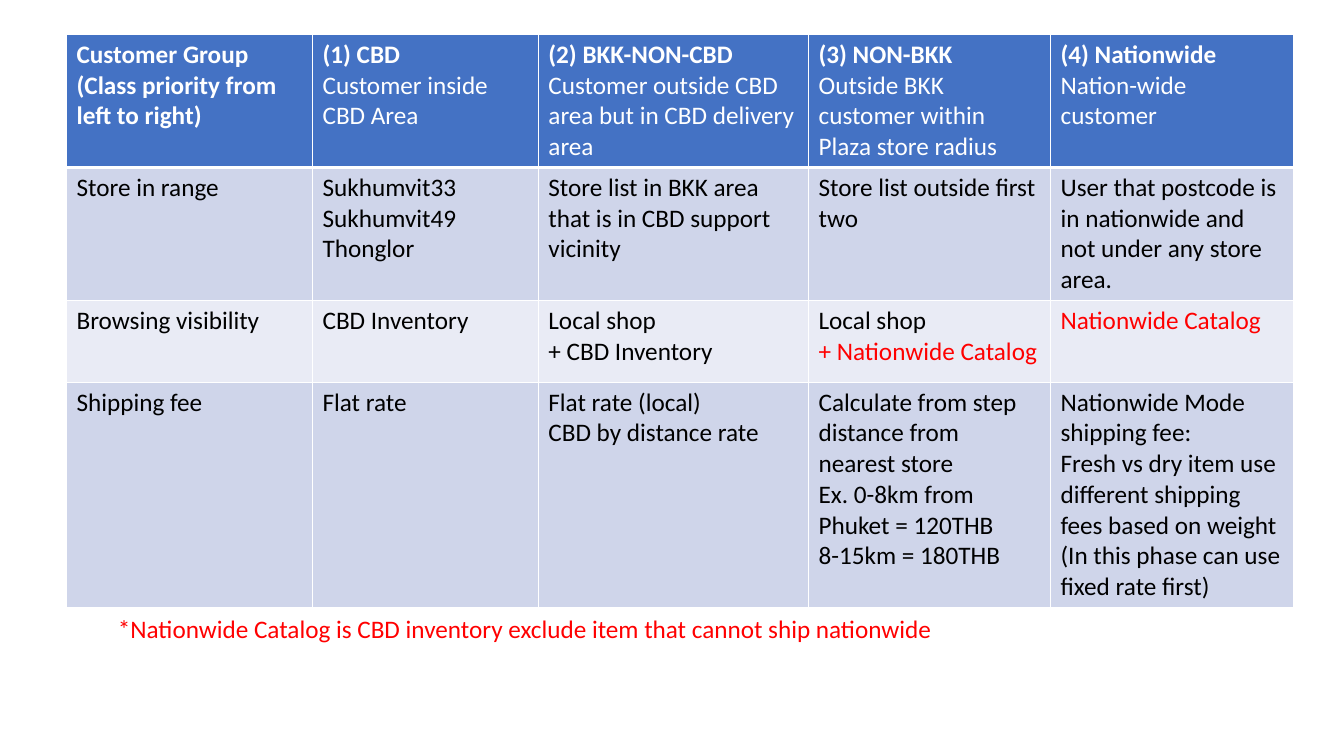
import dataclasses

import pptx
import pptx.dml.color
import pptx.enum.text
import pptx.oxml
import pptx.oxml.ns
import pptx.util


@dataclasses.dataclass(frozen=True)
class Theme:
    font: str = "Calibri"
    size: int = 18
    white: str = "FFFFFF"
    black: str = "000000"
    red: str = "FF0000"
    header: str = "4472C4"
    bands: tuple = ("CFD5EA", "E9EBF5")
    thin: int = 1
    thick: int = 3


THEME = Theme()
WIDTH, HEIGHT = pptx.util.Inches(13.33), pptx.util.Inches(7.5)
COLUMNS = (2.44, 2.24, 2.68, 2.4, 2.41)
ROWS = (1.04, 0.81, 0.81, 0.81)
TABLE_BOX = (0.0495, 0.0453, 0.913, 0.748)
NOTE_BOX = (0.0803, 0.8053, 0.6557, 0.0533)

HEADERS = (
    ("Customer Group", "(Class priority from left to right)"),
    ("(1) CBD", "Customer inside CBD Area"),
    ("(2) BKK-NON-CBD", "Customer outside CBD area but in CBD delivery area"),
    ("(3) NON-BKK", "Outside BKK customer within Plaza store radius"),
    ("(4) Nationwide", "Nation-wide customer"),
)
BODY = (
    (
        ("Store in range",),
        ("Sukhumvit33", "Sukhumvit49", "Thonglor"),
        ("Store list in BKK area that is in CBD support vicinity",),
        ("Store list outside first two",),
        ("User that postcode is in nationwide and not under any store area.",),
    ),
    (
        ("Browsing visibility",),
        ("CBD Inventory",),
        ("Local shop", "+ CBD Inventory"),
        ("Local shop", "+ Nationwide Catalog"),
        ("Nationwide Catalog",),
    ),
    (
        ("Shipping fee",),
        ("Flat rate",),
        ("Flat rate (local)", "CBD by distance rate"),
        (
            "Calculate from step distance from nearest store",
            "Ex. 0-8km from Phuket = 120THB",
            "8-15km = 180THB",
        ),
        (
            "Nationwide Mode shipping fee:",
            "Fresh vs dry item use different shipping fees based on weight "
            "(In this phase can use fixed rate first)",
        ),
    ),
)
NOTE = "*Nationwide Catalog is CBD inventory exclude item that cannot ship nationwide"


def rgb(color):
    return pptx.dml.color.RGBColor.from_string(color)


def place(box):
    x, y, w, h = box
    return int(x * WIDTH), int(y * HEIGHT), int(w * WIDTH), int(h * HEIGHT)


def write(tf, lines, style):
    for i, line in enumerate(lines):
        p = tf.paragraphs[0] if i == 0 else tf.add_paragraph()
        p.text = line
        color, bold = style(i, line)
        p.font.name = THEME.font
        p.font.size = pptx.util.Pt(THEME.size)
        p.font.bold = bold
        p.font.color.rgb = rgb(color)


def set_borders(cell, top, bottom):
    tc_pr = cell._tc.get_or_add_tcPr()
    sides = (("L", THEME.thin), ("R", THEME.thin), ("T", top), ("B", bottom))
    for side, width in sides:
        tc_pr.append(pptx.oxml.parse_xml(
            f'<a:ln{side} {pptx.oxml.ns.nsdecls("a")} w="{pptx.util.Pt(width)}">'
            f'<a:solidFill><a:srgbClr val="{THEME.white}"/></a:solidFill></a:ln{side}>'
        ))


def fill_cell(cell, lines, fill, style, top, bottom):
    set_borders(cell, top, bottom)
    cell.fill.solid()
    cell.fill.fore_color.rgb = rgb(fill)
    write(cell.text_frame, lines, style)


def header_style(column):
    return lambda i, line: (THEME.white, column == 0 or i == 0)


def body_style(i, line):
    return (THEME.red if "Nationwide Catalog" in line else THEME.black), False


def add_customer_table(slide):
    x, y, w, h = place(TABLE_BOX)
    frame = slide.shapes.add_table(len(ROWS), len(COLUMNS), x, y, w, h)
    table = frame.table
    for column, share in zip(table.columns, COLUMNS):
        column.width = int(w * share / sum(COLUMNS))
    for row, height in zip(table.rows, ROWS):
        row.height = pptx.util.Inches(height)
    frame.height = h
    for c, lines in enumerate(HEADERS):
        fill_cell(table.cell(0, c), lines, THEME.header, header_style(c),
                  THEME.thin, THEME.thick)
    for r, row in enumerate(BODY):
        top = THEME.thick if r == 0 else THEME.thin
        for c, lines in enumerate(row):
            fill_cell(table.cell(r + 1, c), lines, THEME.bands[r % 2], body_style,
                      top, THEME.thin)


def add_note(slide):
    tf = slide.shapes.add_textbox(*place(NOTE_BOX)).text_frame
    tf.word_wrap = True
    tf.auto_size = pptx.enum.text.MSO_AUTO_SIZE.SHAPE_TO_FIT_TEXT
    write(tf, (NOTE,), body_style)


def main():
    prs = pptx.Presentation()
    prs.slide_width, prs.slide_height = WIDTH, HEIGHT
    slide = prs.slides.add_slide(prs.slide_layouts[6])
    add_customer_table(slide)
    add_note(slide)
    prs.save("out.pptx")


if __name__ == "__main__":
    main()
